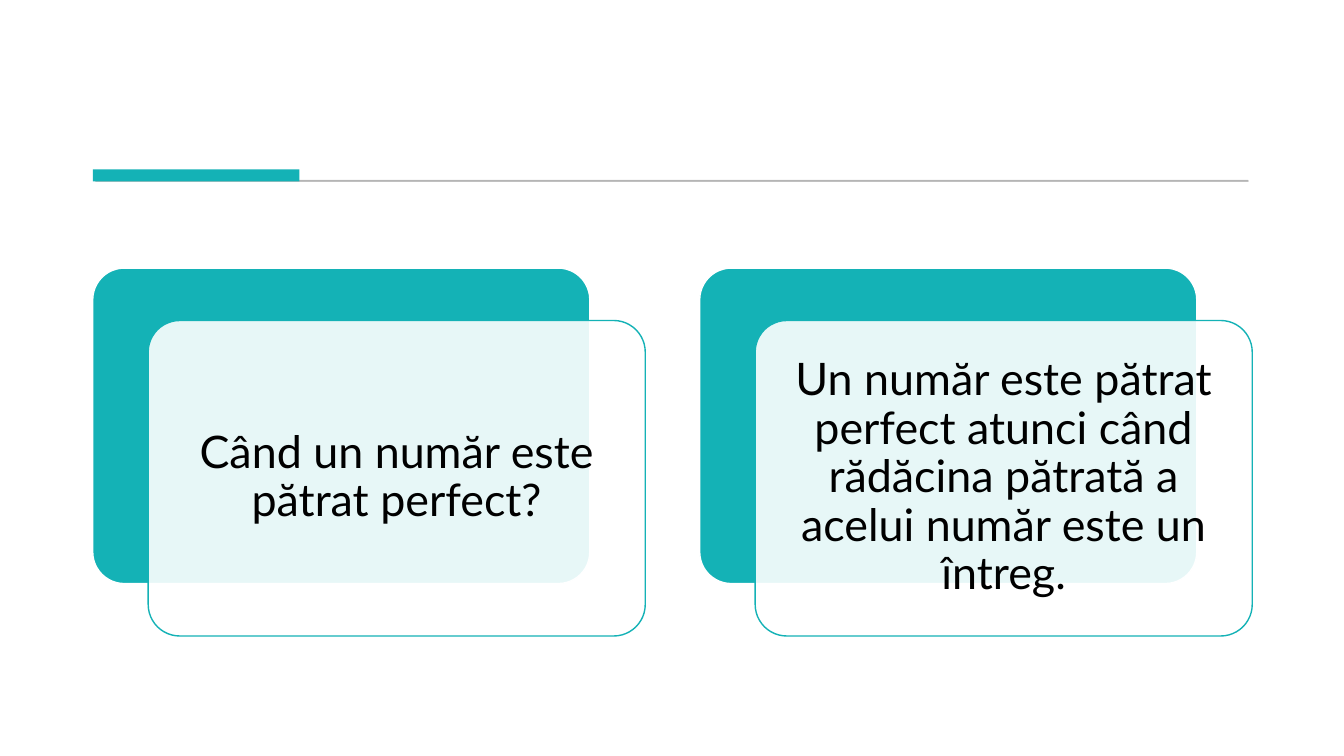
from dataclasses import dataclass

from lxml.etree import SubElement
from pptx import Presentation
from pptx.dml.color import RGBColor
from pptx.enum.shapes import MSO_SHAPE
from pptx.enum.text import MSO_ANCHOR, PP_ALIGN
from pptx.oxml.ns import qn
from pptx.shapes.autoshape import Shape
from pptx.slide import Slide
from pptx.util import Emu, Pt

EMU_PER_PX = 9144
TEAL, WHITE, GRAY, BLACK = "14B2B6", "FFFFFF", "595959", "000000"
CARD_WIDTH, CARD_HEIGHT = 493, 313
CARD_TOP = 266
PANEL_SHIFT_X, PANEL_SHIFT_Y = 55, 52
TEXT_INSET = 13


@dataclass(frozen=True)
class Box:
    left: int
    top: int
    width: int
    height: int


@dataclass(frozen=True)
class Card:
    left: int
    text: str


CARDS = [
    Card(92, "Când un număr este pătrat perfect?"),
    Card(694, "Un număr este pătrat perfect atunci când rădăcina pătrată a acelui număr este un întreg."),
]


def px(length: int) -> Emu:
    return Emu(length * EMU_PER_PX)


def color(value: str) -> RGBColor:
    return RGBColor.from_string(value)


def add_block(slide: Slide, kind: MSO_SHAPE, box: Box, fill: str,
              line: str | None = None, line_width: float = 1) -> Shape:
    block = slide.shapes.add_shape(
        kind, px(box.left), px(box.top), px(box.width), px(box.height))
    block.shadow.inherit = False
    block.fill.solid()
    block.fill.fore_color.rgb = color(fill)
    if line is None:
        block.line.fill.background()
    else:
        block.line.color.rgb = color(line)
        block.line.width = Pt(line_width)
    return block


def set_opacity(block: Shape, value: str, percent: int) -> None:
    for tint in block.element.spPr.iter(qn("a:srgbClr")):
        if tint.get("val") == value:
            SubElement(tint, qn("a:alpha")).set("val", str(percent * 1000))


def add_rounded(slide: Slide, left: int, top: int, fill: str, line: str) -> Shape:
    rounded = add_block(slide, MSO_SHAPE.ROUNDED_RECTANGLE,
                        Box(left, top, CARD_WIDTH, CARD_HEIGHT), fill, line)
    rounded.adjustments[0] = 0.1
    return rounded


def write_text(panel: Shape, text: str) -> None:
    frame = panel.text_frame
    frame.word_wrap = True
    frame.vertical_anchor = MSO_ANCHOR.MIDDLE
    frame.margin_left = frame.margin_right = px(TEXT_INSET)
    frame.margin_top = frame.margin_bottom = px(TEXT_INSET)
    paragraph = frame.paragraphs[0]
    paragraph.alignment = PP_ALIGN.CENTER
    paragraph.line_spacing = 0.9
    run = paragraph.add_run()
    run.text = text
    run.font.name = "Lato"
    run.font.size = Pt(32)
    run.font.color.rgb = color(BLACK)


def add_card(slide: Slide, card: Card) -> None:
    add_rounded(slide, card.left, CARD_TOP, TEAL, WHITE)
    panel = add_rounded(slide, card.left + PANEL_SHIFT_X, CARD_TOP + PANEL_SHIFT_Y, WHITE, TEAL)
    set_opacity(panel, WHITE, 90)
    write_text(panel, card.text)


def main() -> None:
    """Build the slide with a heading rule and two question-and-answer cards."""
    presentation = Presentation()
    presentation.slide_width, presentation.slide_height = px(1333), px(750)
    slide = presentation.slides.add_slide(presentation.slide_layouts[6])
    rule = add_block(slide, MSO_SHAPE.RECTANGLE, Box(95, 179, 1143, 1), GRAY, GRAY, 0.75)
    set_opacity(rule, GRAY, 30)
    add_block(slide, MSO_SHAPE.RECTANGLE, Box(92, 168, 205, 12), TEAL)
    for card in CARDS:
        add_card(slide, card)
    presentation.save("out.pptx")


if __name__ == "__main__":
    main()
